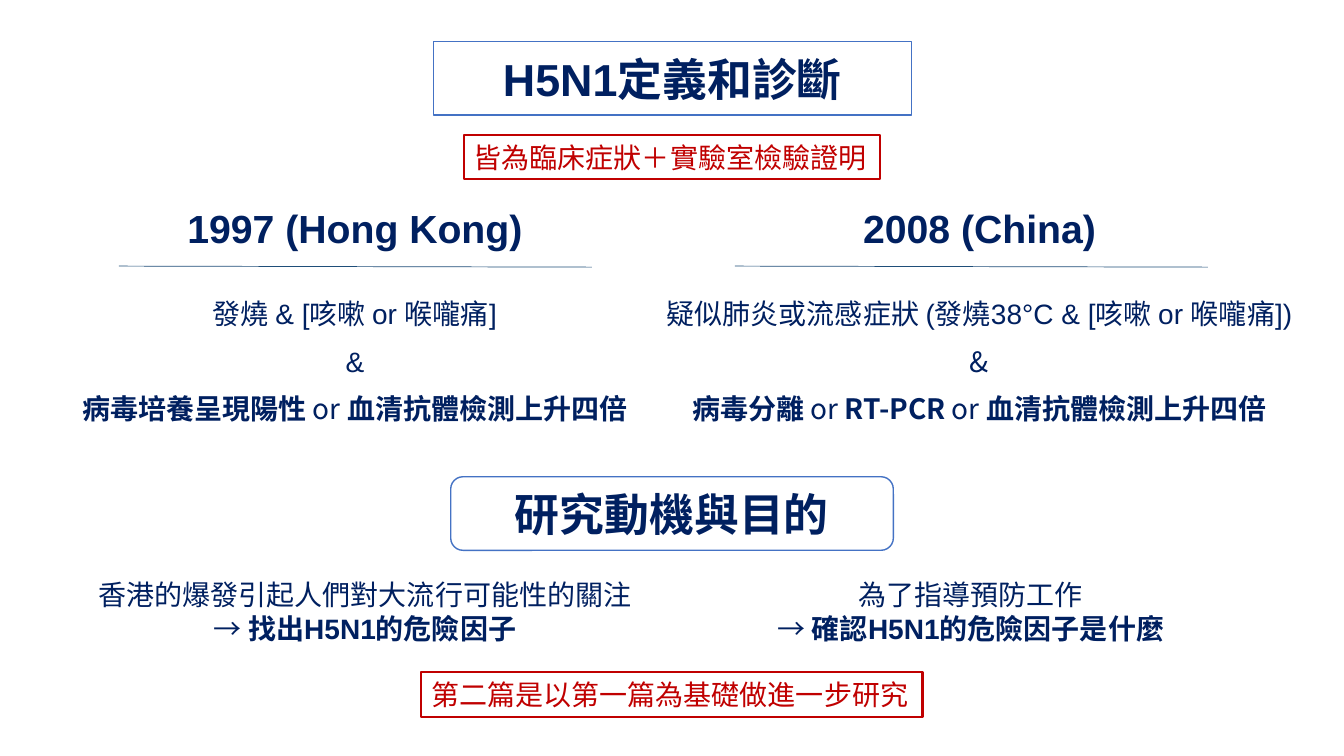
from dataclasses import dataclass

from lxml.etree import SubElement
from pptx import Presentation
from pptx.dml.color import RGBColor
from pptx.enum.shapes import MSO_CONNECTOR, MSO_SHAPE
from pptx.enum.text import MSO_ANCHOR, PP_ALIGN
from pptx.oxml.ns import qn
from pptx.util import Emu, Pt

PX = 9144


@dataclass(frozen=True)
class Theme:
    navy: RGBColor = RGBColor(0x00, 0x20, 0x60)
    red: RGBColor = RGBColor(0xC0, 0x00, 0x00)
    blue: RGBColor = RGBColor(0x44, 0x72, 0xC4)
    rule: RGBColor = RGBColor(0x1F, 0x4E, 0x79)
    white: RGBColor = RGBColor(0xFF, 0xFF, 0xFF)
    latin: str = "Arial"
    cjk: str = "Noto Sans CJK SC"
    title: int = 32
    heading: int = 28
    body: int = 20


def px(*values):
    return [Emu(v * PX) for v in values]


def add_run(p, text, *, size, color, font, bold=False):
    r = p.add_run()
    r.text = text
    r.font.size = Pt(size)
    r.font.name = font
    r.font.bold = bold
    r.font.color.rgb = color


class SlideBuilder:
    def __init__(self, prs, theme):
        self.theme = theme
        self.s = prs.slides.add_slide(prs.slide_layouts[6])

    def box(self, kind, at, line, width, fill=None):
        sp = self.s.shapes.add_shape(kind, *px(*at))
        sp.shadow.inherit = False
        if fill is None:
            sp.fill.background()
        else:
            sp.fill.solid()
            sp.fill.fore_color.rgb = fill
        sp.line.color.rgb = line
        sp.line.width = Pt(width)
        return sp

    def banner(self, kind, at, text):
        t = self.theme
        tf = self.box(kind, at, t.blue, 1, t.white).text_frame
        tf.word_wrap = True
        tf.vertical_anchor = MSO_ANCHOR.MIDDLE
        tf.margin_top, tf.margin_bottom = px(12, 5)
        p = tf.paragraphs[0]
        p.alignment = PP_ALIGN.CENTER
        p.line_spacing = 0.9
        add_run(p, text, size=t.title, color=t.navy, font=t.latin, bold=True)

    def callout(self, at, text):
        t = self.theme
        tf = self.box(MSO_SHAPE.RECTANGLE, at, t.red, 1.5).text_frame
        tf.word_wrap = False
        tf.vertical_anchor = MSO_ANCHOR.TOP
        p = tf.paragraphs[0]
        p.alignment = PP_ALIGN.LEFT
        add_run(p, text, size=t.body, color=t.red, font=t.latin)

    def rule(self, x, y, width):
        c = self.s.shapes.add_connector(
            MSO_CONNECTOR.STRAIGHT, *px(x, y, x + width, y + 1))
        c.line.color.rgb = self.theme.rule
        c.line.width = Pt(0.5)
        SubElement(c._element.spPr, qn("a:effectLst"))

    def text(self, at, paragraphs, gaps):
        t = self.theme
        tf = self.s.shapes.add_textbox(*px(*at)).text_frame
        tf.word_wrap = True
        for i, (runs, gap) in enumerate(zip(paragraphs, gaps)):
            p = tf.paragraphs[0] if i == 0 else tf.add_paragraph()
            p.alignment = PP_ALIGN.CENTER
            p.space_before = Pt(gap)
            for text, style in runs:
                add_run(p, text, **{"size": t.body, "color": t.navy,
                                    "font": t.latin, **style})


def main():
    prs = Presentation()
    prs.slide_width, prs.slide_height = px(1333, 750)
    t = Theme()
    b = SlideBuilder(prs, t)

    heading = {"size": t.heading, "bold": True}
    strong = {"bold": True}
    cjk = {"font": t.cjk}
    cjk_strong = {**cjk, **strong}

    b.banner(MSO_SHAPE.RECTANGLE, (430, 41, 474, 73), "H5N1定義和診斷")
    b.callout((460, 134, 413, 44), "皆為臨床症狀＋實驗室檢驗證明")

    definitions = [
        ((60, 198, 584, 241), [
            [("1997 (Hong Kong)", heading)],
            [("發燒 & [咳嗽 or 喉嚨痛]", {})],
            [("&", {})],
            [("病毒培養呈現陽性 ", cjk_strong), ("or ", cjk),
             ("血清抗體檢測上升四倍", cjk_strong)],
        ]),
        ((645, 198, 653, 241), [
            [("2008 (China)", heading)],
            [("疑似肺炎或流感症狀 ", cjk), ("(發燒38°C & [咳嗽 or 喉嚨痛])", {})],
            [("&", cjk)],
            [("病毒分離 ", cjk_strong), ("or ", cjk), ("RT-PCR", cjk_strong),
             (" or ", cjk), ("血清抗體檢測上升四", cjk_strong), ("倍", strong)],
        ]),
    ]
    for at, paragraphs in definitions:
        b.text(at, paragraphs, (3, 32, 10, 10))
    for x in (118, 729):
        b.rule(x, 264, 469)

    b.banner(MSO_SHAPE.ROUNDED_RECTANGLE, (447, 473, 439, 73), "研究動機與目的")
    motives = [
        ((58, 568, 608, 77), "香港的爆發引起人們對大流行可能性的關注", "找出H5N1的危險因子"),
        ((756, 568, 414, 77), "為了指導預防工作", "確認H5N1的危險因子是什麼"),
    ]
    for at, reason, aim in motives:
        b.text(at, [[(reason, {})], [("→ ", {}), (aim, strong)]], (0, 0))
    b.callout((418, 667, 497, 44), "第二篇是以第一篇為基礎做進一步研究")

    prs.save("out.pptx")


if __name__ == "__main__":
    main()
